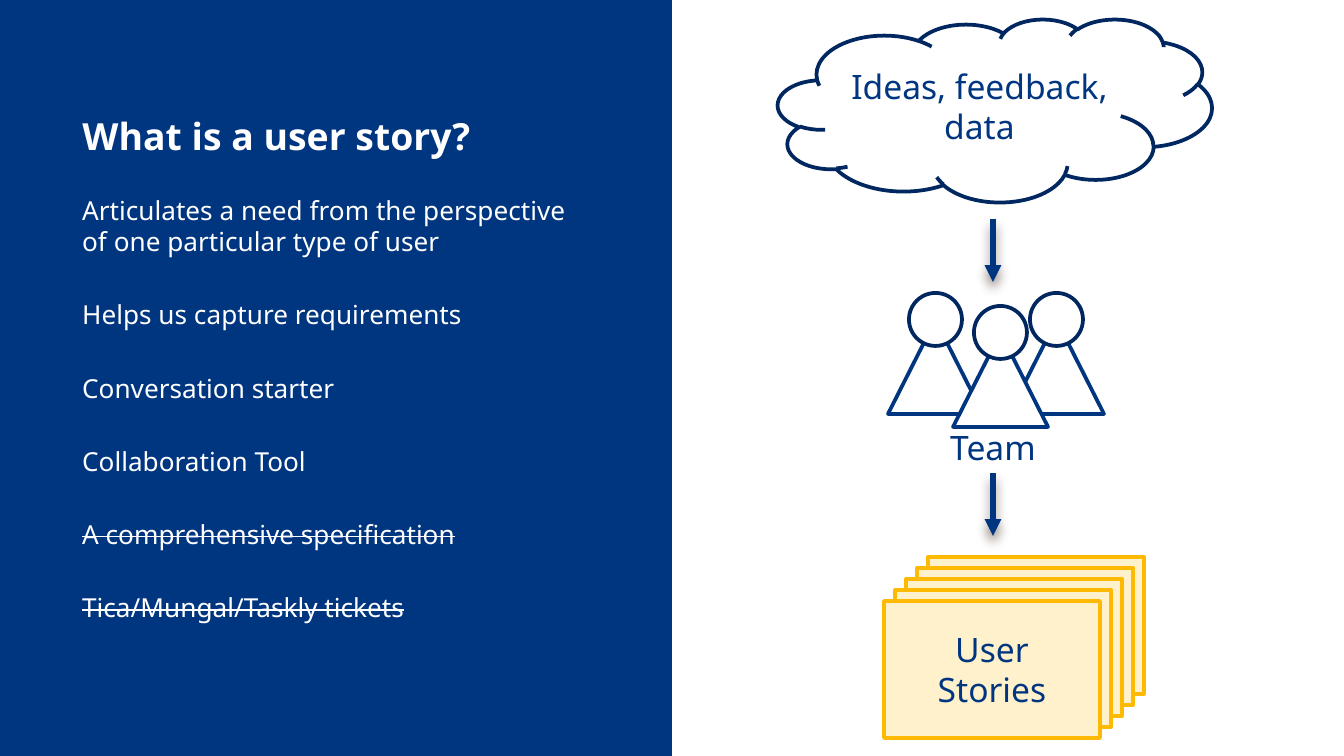
from lxml.etree import SubElement
from pptx import Presentation
from pptx.dml.color import RGBColor
from pptx.enum.shapes import MSO_CONNECTOR, MSO_SHAPE
from pptx.enum.text import MSO_ANCHOR, MSO_AUTO_SIZE, PP_ALIGN
from pptx.oxml.ns import qn
from pptx.util import Emu, Pt

COLORS = {"blue": "003580", "navy": "00275F", "white": "FFFFFF",
          "cream": "FFF1CC", "yellow": "FEBA02", "shadow": "4E3B30"}
FONT = "Noto Sans"
POINTS = [
    ("Articulates a need from the perspective of one particular type of user", False),
    ("Helps us capture requirements", False),
    ("Conversation starter", False),
    ("Collaboration Tool", False),
    ("A comprehensive specification", True),
    ("Tica/Mungal/Taskly tickets", True),
]


def px(length):
    """Turn whole pixels into EMU."""
    return Emu(round(length * 914400 / 134.4))


def rgb(name):
    """Look up a colour by name."""
    return RGBColor.from_string(COLORS[name])


def style(paragraph, size, color, leading, bold=False):
    """Set the font and line height of a paragraph."""
    paragraph.line_spacing = Pt(leading)
    paragraph.font.name = FONT
    paragraph.font.size = Pt(size)
    paragraph.font.bold = bold
    paragraph.font.color.rgb = rgb(color)


def add_outline(shapes, preset, box, fill, line=None):
    """Add a filled preset shape with an optional outline."""
    shape = shapes.add_shape(preset, *map(px, box))
    shape.shadow.inherit = False
    shape.fill.solid()
    shape.fill.fore_color.rgb = rgb(fill)
    if line:
        shape.line.color.rgb = rgb(line)
        shape.line.width = Pt(2)
    else:
        shape.line.fill.background()
    return shape


def add_label(shape, text):
    """Write a centred label inside a shape."""
    frame = shape.text_frame
    frame.word_wrap = True
    frame.vertical_anchor = MSO_ANCHOR.MIDDLE
    label = frame.paragraphs[0]
    label.text = text
    label.alignment = PP_ALIGN.CENTER
    style(label, 18, "blue", 21.5)


def add_title(slide):
    """Place the title on the blue panel."""
    panel = add_outline(slide.shapes, MSO_SHAPE.RECTANGLE, (0, 0, 672, 756), "blue")
    title = slide.shapes.title
    title.element.addprevious(panel.element)
    title.left, title.top, title.width, title.height = map(px, (69, 71, 531, 94))
    frame = title.text_frame
    frame.auto_size = MSO_AUTO_SIZE.NONE
    frame.vertical_anchor = MSO_ANCHOR.BOTTOM
    heading = frame.paragraphs[0]
    heading.text = "What is a user story?"
    heading.alignment = PP_ALIGN.LEFT
    style(heading, 20, "white", 24, bold=True)


def add_points(slide):
    """List what a user story is, striking out what it is not."""
    frame = slide.shapes.add_textbox(*map(px, (69, 188, 530, 487))).text_frame
    frame.word_wrap = True
    for index, (text, struck) in enumerate(POINTS):
        point = frame.add_paragraph() if index else frame.paragraphs[0]
        run = point.add_run()
        run.text = text
        if struck:
            run._r.get_or_add_rPr().set("strike", "sngStrike")
        if index:
            point.space_before = Pt(22.5)
        style(point, 14, "white", 16.7)


def add_person(slide, left, top):
    """Add a team member as a grouped head and body."""
    person = slide.shapes.add_group_shape().shapes
    add_outline(person, MSO_SHAPE.ISOSCELES_TRIANGLE, (left, top + 27, 95, 94), "white", "blue")
    add_outline(person, MSO_SHAPE.OVAL, (left + 21, top, 53, 53), "white", "navy")


def add_arrow(slide, top):
    """Add a downward arrow with a soft shadow."""
    x = px(993)
    arrow = slide.shapes.add_connector(MSO_CONNECTOR.STRAIGHT, x, px(top), x, px(top + 63))
    arrow.line.color.rgb = rgb("blue")
    arrow.line.width = Pt(3)
    SubElement(arrow.line._get_or_add_ln(), qn("a:tailEnd"), type="triangle")
    effects = SubElement(arrow.element.spPr, qn("a:effectLst"))
    shadow = SubElement(effects, qn("a:outerShdw"), blurRad=str(Pt(6)), dist=str(Pt(4)),
                        dir="5400000", rotWithShape="0")
    tint = SubElement(shadow, qn("a:srgbClr"), val=COLORS["shadow"])
    SubElement(tint, qn("a:alpha"), val="60000")


def add_team_caption(slide):
    """Name the team below its members."""
    frame = slide.shapes.add_textbox(*map(px, (937, 421, 115, 54))).text_frame
    frame.word_wrap = False
    caption = frame.paragraphs[0]
    caption.text = "Team"
    style(caption, 18, "blue", 21.5)


def add_story_cards(slide):
    """Stack five cards and label the front one."""
    for depth in range(4, -1, -1):
        box = (884 + 11 * depth, 601 - 11 * depth, 216, 137)
        card = add_outline(slide.shapes, MSO_SHAPE.RECTANGLE, box, "cream", "yellow")
    add_label(card, "User Stories")


def main():
    """Build the user story slide."""
    presentation = Presentation()
    presentation.slide_width, presentation.slide_height = px(1344), px(756)
    slide = presentation.slides.add_slide(presentation.slide_layouts[5])
    add_title(slide)
    add_points(slide)
    for left, top in ((888, 293), (1009, 293), (953, 306)):
        add_person(slide, left, top)
    cloud = add_outline(slide.shapes, MSO_SHAPE.CLOUD, (778, 19, 434, 183), "white", "navy")
    add_label(cloud, "Ideas, feedback, data")
    add_story_cards(slide)
    for top in (219, 473):
        add_arrow(slide, top)
    add_team_caption(slide)
    presentation.save("out.pptx")


if __name__ == "__main__":
    main()
